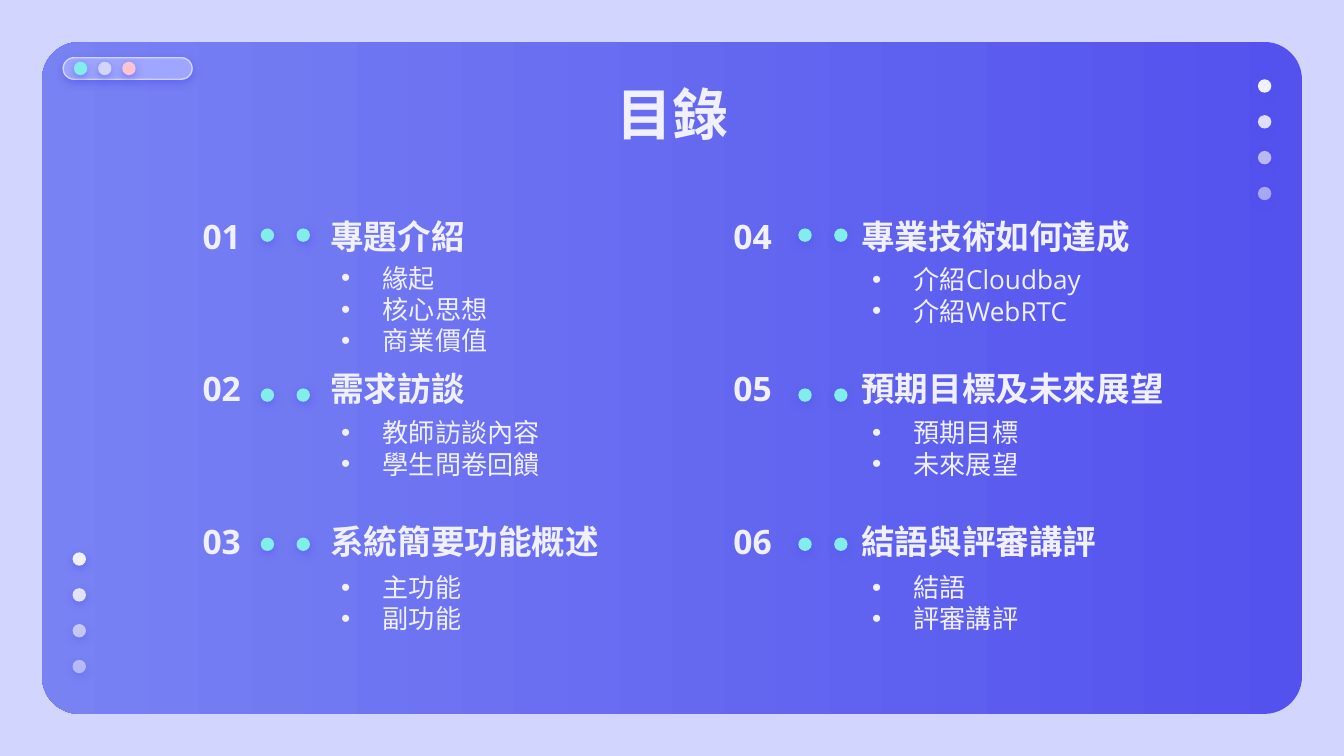
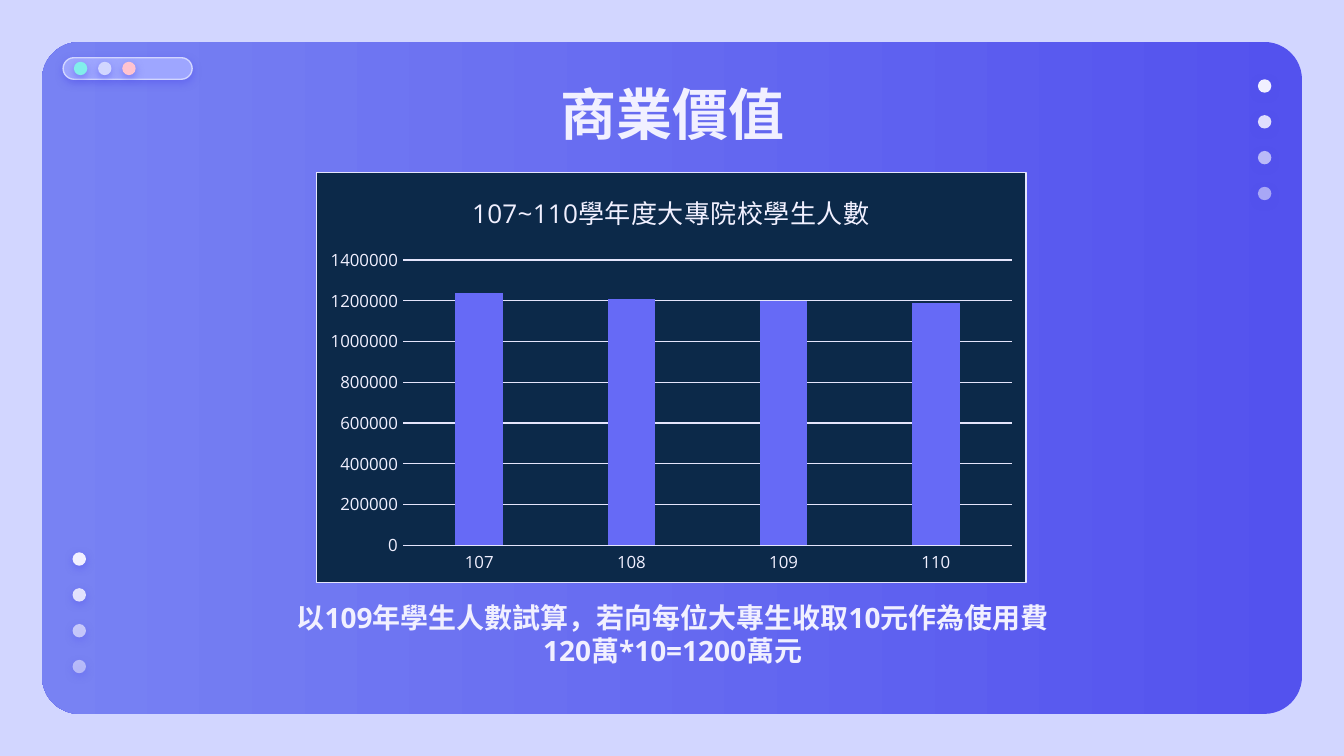
import pptx
import pptx.util
import pptx.chart.data
import pptx.dml.color
import pptx.enum.chart
import pptx.enum.shapes
import pptx.enum.text
import pptx.oxml
import pptx.oxml.ns
from lxml import etree

COLORS = {
    "backdrop": "D2D6FF", "deep": "5352EE", "soft": "7882F3", "pill": "9EA6FF",
    "mint": "81EEEB", "pink": "FFC3D0", "text": "F1F0FF", "navy": "0C2949",
    "rule": "E5E5FC", "bar": "666AF6",
}
FONT = "Open Sans"
WIDTH = 10
HEIGHT = WIDTH * 9 / 16
MARGIN = WIDTH / 32
DOT = 0.1
DOT_STEP = 0.8 / 3
FADE = [100, 89, 66, 54]

CONTENTS_TITLE = "目錄"
CONTENTS = [
    [("專題介紹", ["緣起", "核心思想", "商業價值"]),
     ("需求訪談", ["教師訪談內容", "學生問卷回饋"]),
     ("系統簡要功能概述", ["主功能", "副功能"])],
    [("專業技術如何達成", ["介紹Cloudbay", "介紹WebRTC"]),
     ("預期目標及未來展望", ["預期目標", "未來展望"]),
     ("結語與評審講評", ["結語", "評審講評"])],
]
COLUMN_LEFT, COLUMN_STEP = 1.17, 3.95
HEADING_TOPS = [1.62, 2.75, 3.89]
TOPIC_TOPS = [1.93, 3.07, 4.22]
TALL_TOPIC_TOP = 1.77
DOT_TOPS = [1.7, 2.89, 4.0]
DOT_LEFTS = [1.94, 5.94]

VALUE_TITLE = "商業價值"
CHART_TITLE = "107~110學年度大專院校學生人數"
STUDENTS = {"107": 1240000, "108": 1210000, "109": 1200000, "110": 1190000}
CAPTION = ["以109年學生人數試算，若向每位大專生收取10元作為使用費", "120萬*10=1200萬元"]

inch = pptx.util.Inches
qn = pptx.oxml.ns.qn
ALIGN = pptx.enum.text.PP_ALIGN
ANCHOR = pptx.enum.text.MSO_ANCHOR
SHAPE = pptx.enum.shapes.MSO_SHAPE


def rgb(name):
    return pptx.dml.color.RGBColor.from_string(COLORS[name])


def add_element(parent, tag, **attributes):
    return etree.SubElement(parent, qn(tag), **attributes)


def add_alpha(color, alpha):
    if alpha < 100:
        add_element(color, "a:alpha", val=str(alpha * 1000))


def add_color(parent, name, alpha=100):
    add_alpha(add_element(parent, "a:srgbClr", val=COLORS[name]), alpha)


def style_font(font, size, color="text", bold=False):
    font.name, font.size, font.bold = FONT, pptx.util.Pt(size), bold
    font.color.rgb = rgb(color)


def add_span(para, text, size, bold=False):
    span = para.add_run()
    span.text = text
    style_font(span.font, size, bold=bold)
    add_element(span._r.get_or_add_rPr(), "a:ea", typeface=FONT)


def style_line(line, color):
    line.color.rgb = rgb(color)
    line.width = pptx.util.Pt(0.75)


def add_panel(page, kind, left, top, width, height, fill=None, alpha=100, glow=True):
    shape = page.shapes.add_shape(kind, inch(left), inch(top), inch(width), inch(height))
    shape.shadow.inherit = False
    shape.line.fill.background()
    if fill:
        shape.fill.solid()
        shape.fill.fore_color.rgb = rgb(fill)
        add_alpha(shape._element.spPr.find(qn("a:solidFill"))[0], alpha)
    if glow:
        effects = shape._element.spPr.find(qn("a:effectLst"))
        shadow = add_element(effects, "a:outerShdw", blurRad="57150", dist="19050",
                             dir="5400000", algn="bl", rotWithShape="0")
        add_color(shadow, "deep", 50)
    return shape


def add_dot(page, left, top, fill, alpha=100):
    add_panel(page, SHAPE.OVAL, left, top, DOT, DOT, fill, alpha)


def add_text(page, left, top, width, height, lines, size, bold=True,
             align=ALIGN.LEFT, anchor=ANCHOR.MIDDLE, bullets=False):
    box = page.shapes.add_textbox(inch(left), inch(top), inch(width), inch(height))
    frame = box.text_frame
    frame.word_wrap = True
    frame.vertical_anchor = anchor
    frame.margin_left = frame.margin_right = inch(0.1)
    frame.margin_top = frame.margin_bottom = inch(0.1)
    for index, line in enumerate(lines):
        para = frame.paragraphs[0] if index == 0 else frame.add_paragraph()
        para.alignment = align
        if bullets:
            properties = para._p.get_or_add_pPr()
            properties.set("marL", str(inch(0.47)))
            properties.set("indent", str(inch(-0.31)))
            add_color(add_element(properties, "a:buClr"), "text")
            add_element(properties, "a:buFont", typeface="Arial")
            add_element(properties, "a:buChar", char="•")
        add_span(para, line, size, bold)


def add_page(deck, title):
    page = deck.slides.add_slide(deck.slide_layouts[6])
    page.background.fill.solid()
    page.background.fill.fore_color.rgb = rgb("backdrop")
    window = add_panel(page, SHAPE.ROUNDED_RECTANGLE, MARGIN, MARGIN,
                       WIDTH - 2 * MARGIN, HEIGHT - 2 * MARGIN, glow=False)
    window.adjustments[0] = 0.056
    window.fill.gradient()
    window.fill.gradient_angle = 180
    for stop, name, position in zip(window.fill.gradient_stops, ("deep", "soft"), (0, 1)):
        stop.color.rgb = rgb(name)
        stop.position = position
    pill = add_panel(page, SHAPE.ROUNDED_RECTANGLE, 0.47, 0.43, 0.96, 0.16, "pill")
    pill.adjustments[0] = 0.5
    style_line(pill.line, "backdrop")
    for index, name in enumerate(("mint", "backdrop", "pink")):
        add_dot(page, 0.55 + 0.18 * index, 0.46, name)
    for left, top in ((9.36, 0.59), (0.54, 4.11)):
        for index, alpha in enumerate(FADE):
            add_dot(page, left, top + DOT_STEP * index, "text", alpha)
    add_text(page, 0.79, 0.49, 8.43, 0.63, [title], 30, align=ALIGN.CENTER, anchor=ANCHOR.TOP)
    return page


def build_contents(deck):
    page = add_page(deck, CONTENTS_TITLE)
    for column, chapters in enumerate(CONTENTS):
        left = COLUMN_LEFT + COLUMN_STEP * column
        for row, (heading, topics) in enumerate(chapters):
            top = HEADING_TOPS[row]
            number = f"{column * len(chapters) + row + 1:02d}"
            add_text(page, left, top, 0.96, 0.27, [number], 18, align=ALIGN.CENTER)
            add_text(page, left + 1.19, top, 2.52, 0.27, [heading], 18)
            if len(topics) > 2:
                topic_top, width, height = TALL_TOPIC_TOP, 2.71, 1.06
            else:
                topic_top, width, height = TOPIC_TOPS[row], 2.04, 0.53
            add_text(page, left + 1.11, topic_top, width, height,
                     topics, 14, bold=False, bullets=True)
            for index in range(2):
                add_dot(page, DOT_LEFTS[column] + DOT_STEP * index, DOT_TOPS[row], "mint")


def add_student_chart(page):
    data = pptx.chart.data.CategoryChartData()
    data.categories = list(STUDENTS)
    data.add_series(CHART_TITLE, list(STUDENTS.values()))
    kind = pptx.enum.chart.XL_CHART_TYPE.COLUMN_CLUSTERED
    chart = page.shapes.add_chart(kind, inch(2.35), inch(1.28), inch(5.29), inch(3.06), data).chart
    style_font(chart.font, 10)
    chart.has_legend = False
    chart.has_title = True
    add_span(chart.chart_title.text_frame.paragraphs[0], CHART_TITLE, 14)
    chart.chart_title.include_in_layout = False

    plot = chart.plots[0]
    plot.vary_by_categories = False
    plot.gap_width, plot.overlap = 219, -27
    bars = plot.series[0].format.fill
    bars.solid()
    bars.fore_color.rgb = rgb("bar")

    for axis in (chart.category_axis, chart.value_axis):
        axis.major_tick_mark = axis.minor_tick_mark = pptx.enum.chart.XL_TICK_MARK.NONE
        style_font(axis.tick_labels.font, 9)
    style_line(chart.category_axis.format.line, "rule")
    values = chart.value_axis
    values.minimum_scale, values.major_unit = 0, 200000
    values.format.line.fill.background()
    values.has_major_gridlines = True
    style_line(values.major_gridlines.format.line, "rule")

    frame = pptx.oxml.parse_xml(f"<c:spPr {pptx.oxml.ns.nsdecls('c', 'a')}/>")
    add_color(add_element(frame, "a:solidFill"), "navy")
    border = add_element(frame, "a:ln", w=str(pptx.util.Pt(0.75)))
    add_color(add_element(border, "a:solidFill"), "rule")
    chart._chartSpace.find(qn("c:chart")).addnext(frame)


def build_value(deck):
    page = add_page(deck, VALUE_TITLE)
    add_student_chart(page)
    add_text(page, 1.96, 4.4, 6.09, 0.63, CAPTION, 15, align=ALIGN.CENTER)


def main():
    deck = pptx.Presentation()
    deck.slide_width, deck.slide_height = inch(WIDTH), inch(HEIGHT)
    build_contents(deck)
    build_value(deck)
    deck.save("out.pptx")


if __name__ == "__main__":
    main()
